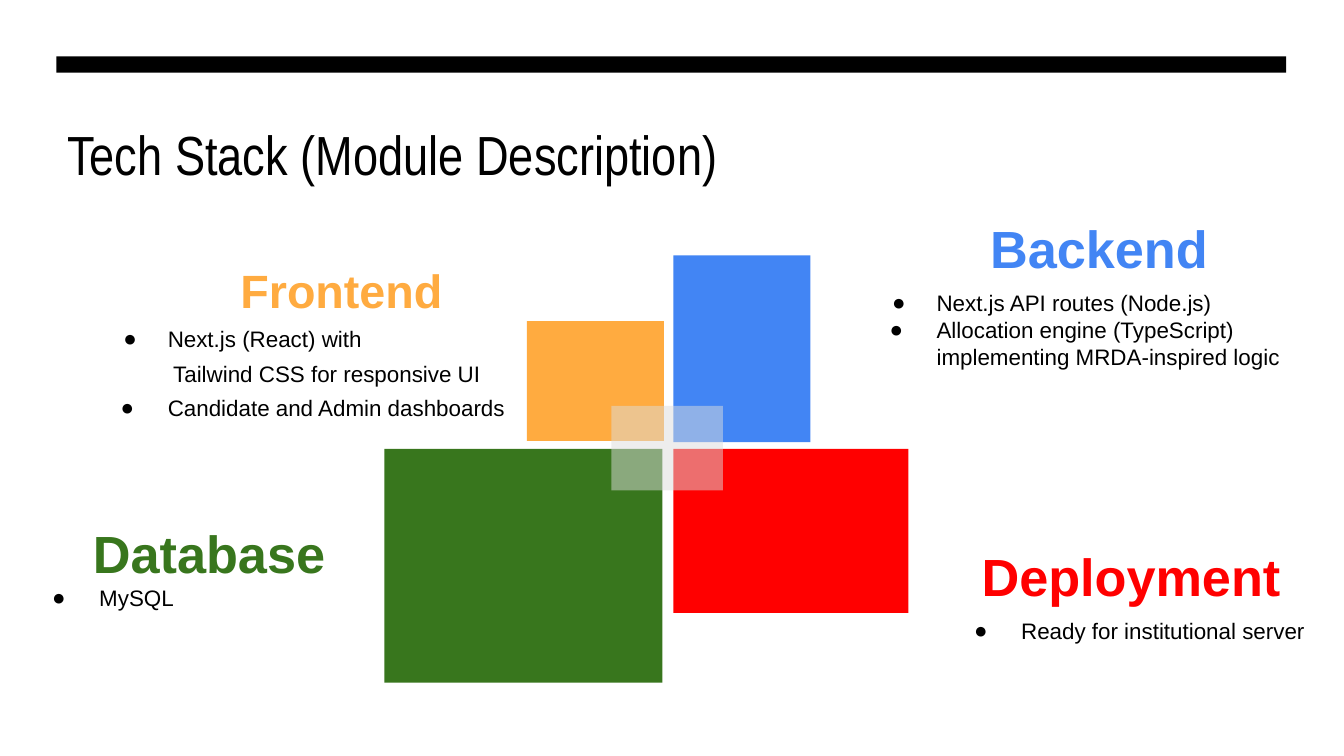
from typing import NamedTuple

from lxml.etree import SubElement
from pptx import Presentation
from pptx.dml.color import RGBColor
from pptx.enum.shapes import MSO_SHAPE
from pptx.enum.text import MSO_ANCHOR, MSO_AUTO_SIZE, PP_ALIGN
from pptx.oxml.ns import qn
from pptx.util import Pt

PX = 9144  # EMU per px, 100 px to the inch
WIDTH = 1000 * PX
HEIGHT = WIDTH * 9 // 16

BLACK = RGBColor(0x00, 0x00, 0x00)
ORANGE = RGBColor(0xFF, 0xAB, 0x40)
BLUE = RGBColor(0x42, 0x85, 0xF4)
RED = RGBColor(0xFF, 0x00, 0x00)
GREEN = RGBColor(0x38, 0x76, 0x1D)
GREY = RGBColor(0xDD, 0xDD, 0xDD)


class Box(NamedTuple):
    left: int
    top: int
    width: int
    height: int


class Block(NamedTuple):
    box: Box
    color: RGBColor
    alpha: int = 100


class Line(NamedTuple):
    text: str
    before: int = 4
    space: float = 1.0
    margin: int = 50
    hang: int = 35


class Module(NamedTuple):
    name: str
    box: Box
    color: RGBColor
    size: int
    lines: list[Line]


BLOCKS = [
    Block(Box(42, 42, 915, 12), BLACK),
    Block(Box(392, 239, 102, 89), ORANGE),
    Block(Box(501, 190, 102, 139), BLUE),
    Block(Box(501, 334, 175, 122), RED),
    Block(Box(286, 334, 207, 174), GREEN),
    Block(Box(455, 302, 83, 63), GREY, 50),
]

MODULES = [
    Module("Frontend", Box(65, 190, 378, 160), ORANGE, 25, [
        Line("Next.js (React) with", hang=33),
        Line("Tailwind CSS for responsive UI", margin=54, hang=0),
        Line("Candidate and Admin dashboards"),
    ]),
    Module("Backend ", Box(637, 156, 372, 156), BLUE, 28, [
        Line("Next.js API routes (Node.js)", space=1.1, hang=33),
        Line("Allocation engine (TypeScript) implementing MRDA-inspired logic",
             before=0),
    ]),
    Module("Deployment", Box(700, 400, 283, 86), RED, 28, [
        Line("Ready for institutional server", space=1.1),
    ]),
    Module("Database", Box(14, 383, 283, 108), GREEN, 28, [
        Line("MySQL", before=0),
    ]),
]


def scale(box: Box) -> list[int]:
    return [n * PX for n in box]


def style(item, **values) -> None:
    """Set each named value as an attribute of item."""
    for key, value in values.items():
        setattr(item, key, value)


def paint(font, size: float, color: RGBColor, bold: bool = False,
          name: str = "Arial") -> None:
    style(font, name=name, size=Pt(size), bold=bold)
    font.color.rgb = color


def draw_block(slide, block: Block) -> None:
    shape = slide.shapes.add_shape(MSO_SHAPE.RECTANGLE, *scale(block.box))
    shape.shadow.inherit = False
    shape.line.fill.background()
    shape.fill.solid()
    shape.fill.fore_color.rgb = block.color
    if block.alpha < 100:
        tone = shape.fill._xPr.find(".//" + qn("a:srgbClr"))
        SubElement(tone, qn("a:alpha"), val=str(block.alpha * 1000))


def indent(para, line: Line) -> None:
    """Set a hanging indent, with a bullet if the line hangs."""
    props = para._p.get_or_add_pPr()
    props.set("marL", str(line.margin * PX))
    props.set("indent", str(-line.hang * PX))
    if line.hang:
        tone = SubElement(props, qn("a:buClr"))
        SubElement(tone, qn("a:srgbClr"), val=str(BLACK))
        SubElement(props, qn("a:buFont"), typeface="Arial")
        SubElement(props, qn("a:buChar"), char="●")


def draw_module(slide, module: Module) -> None:
    frame = slide.shapes.add_textbox(*scale(module.box)).text_frame
    style(frame, word_wrap=True, vertical_anchor=MSO_ANCHOR.TOP,
          margin_left=10 * PX, margin_right=10 * PX,
          margin_top=5 * PX, margin_bottom=5 * PX)
    head = frame.paragraphs[0]
    style(head, text=module.name, alignment=PP_ALIGN.CENTER)
    paint(head.runs[0].font, module.size, module.color, bold=True)
    for line in module.lines:
        para = frame.add_paragraph()
        indent(para, line)
        style(para, text=line.text, alignment=PP_ALIGN.LEFT,
              space_before=Pt(line.before), line_spacing=line.space)
        paint(para.runs[0].font, 12, BLACK)


def draw_title(slide, text: str, box: Box) -> None:
    title = slide.shapes.title
    left, top, width, height = scale(box)
    style(title, left=left, top=top, width=width, height=height)
    frame = title.text_frame
    style(frame, text=text, word_wrap=True, auto_size=MSO_AUTO_SIZE.NONE,
          vertical_anchor=MSO_ANCHOR.MIDDLE,
          margin_left=7 * PX, margin_right=7 * PX,
          margin_top=4 * PX, margin_bottom=4 * PX)
    para = frame.paragraphs[0]
    para.alignment = PP_ALIGN.LEFT
    paint(para.runs[0].font, 29.5, BLACK, name="Arial Narrow")


def main() -> None:
    deck = Presentation()
    style(deck, slide_width=WIDTH, slide_height=HEIGHT)
    slide = deck.slides.add_slide(deck.slide_layouts[5])
    draw_title(slide, "Tech Stack (Module Description)", Box(43, 84, 915, 60))
    for block in BLOCKS:
        draw_block(slide, block)
    for module in MODULES:
        draw_module(slide, module)
    deck.save("out.pptx")


if __name__ == "__main__":
    main()
